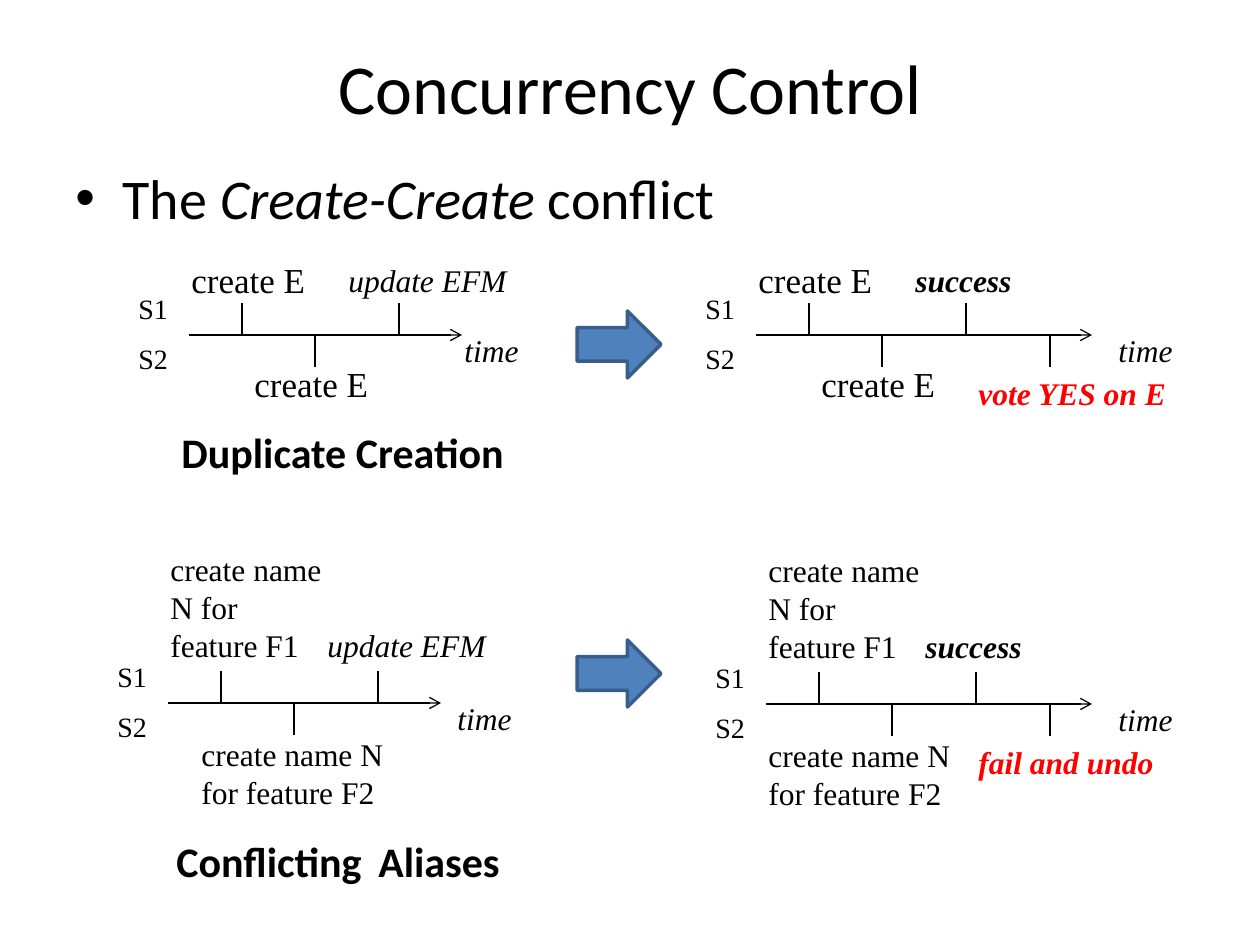
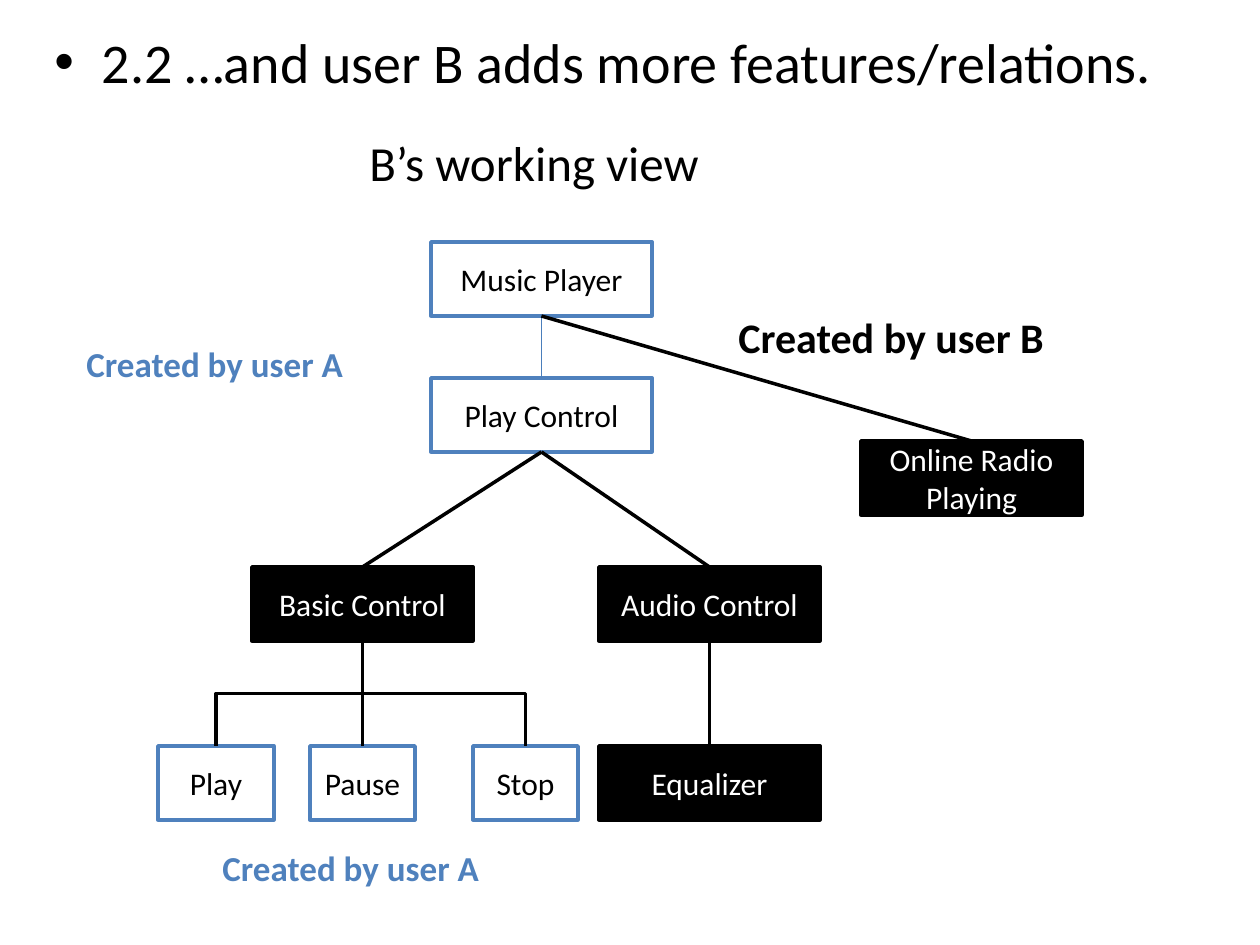
"""Build two slides: a concurrency conflict diagram and a feature tree."""
from lxml import etree
from pptx import Presentation
from pptx import util as u
from pptx.dml.color import RGBColor
from pptx.enum import shapes, text
from pptx.oxml import ns

PX = 914400 / 126
COLORS = {"black": "000000", "white": "FFFFFF", "red": "FF0000",
          "blue": "4F81BD", "edge": "385D8A", "link": "4A7EBB"}
SANS, SERIF = "Calibri", "Times New Roman"

PLAIN = {"name": SERIF, "size": 18}
BIG = {"name": SERIF, "size": 20}
SITE = {"name": SERIF, "size": 16}
ITALIC = {**PLAIN, "italic": True}
STRONG = {**ITALIC, "bold": True}
ALERT = {**STRONG, "color": "red"}
CAPTION = {"name": SANS, "size": 24, "bold": True}
BULLET = {"name": SANS, "size": 32}
AUTHOR_A = {"name": SANS, "size": 20, "bold": True, "color": "blue"}

TITLE = ("Concurrency Control", (63, 38, 1134, 98), {"name": SANS, "size": 40})
CONFLICT = ([("The ", {}), ("Create-Create", {"italic": True}), (" conflict", {})],
            (63, 157, 1134, 687))
ADDITION = ([("2.2 …and user B adds more features/relations.", {})], (42, 21, 1218, 378))

SITES = [("S1", (-63, -50, 63, 47), SITE), ("S2", (-63, 0, 63, 47), SITE)]
TICKS = [(53, -32), (126, 32), (210, -32)]
TIMELINES = [
    {"origin": (189, 335), "length": 273, "time": 263, "ticks": [], "labels": [
        ("create E", (-10, -83, 147, 55), BIG),
        ("create E", (53, 21, 158, 55), BIG),
        ("update EFM", (147, -80, 199, 50), ITALIC)]},
    {"origin": (756, 335), "length": 336, "time": 350, "ticks": [(294, 32)], "labels": [
        ("create E", (-10, -83, 147, 55), BIG),
        ("create E", (53, 21, 158, 55), BIG),
        ("success", (147, -80, 199, 50), STRONG),
        ("vote YES on E", (210, 33, 221, 50), ALERT)]},
    {"origin": (168, 703), "length": 273, "time": 277, "ticks": [], "labels": [
        ("create name N for feature F1", (-10, -159, 179, 126), PLAIN),
        ("create name N for feature F2", (21, 26, 221, 88), PLAIN),
        ("update EFM", (147, -83, 273, 50), ITALIC)]},
    {"origin": (766, 704), "length": 326, "time": 340, "ticks": [(284, 32)], "labels": [
        ("create name N for feature F1", (-10, -159, 179, 126), PLAIN),
        ("create name N for feature F2", (-10, 26, 221, 88), PLAIN),
        ("success", (147, -83, 273, 50), STRONG),
        ("fail and undo", (200, 33, 221, 50), ALERT)]},
]
CAPTIONS = [("Duplicate Creation", (169, 420, 360, 63), CAPTION),
            ("Conflicting\tAliases", (164, 829, 360, 63), CAPTION)]
ALIAS_TAB = 202
ARROWS = [(577, 311, 84, 67), (577, 640, 84, 67)]

FEATURE_HEIGHT = 74
FEATURES = {
    "Music Player": (431, 242, 221, "A"),
    "Play Control": (431, 378, 221, "A"),
    "Online Radio Playing": (861, 441, 221, "B"),
    "Basic Control": (252, 567, 221, "B"),
    "Audio Control": (599, 567, 221, "B"),
    "Play": (158, 746, 116, "A"),
    "Pause": (310, 746, 105, "A"),
    "Stop": (473, 746, 105, "A"),
    "Equalizer": (599, 746, 221, "B"),
}
LOOKS = {"A": ("white", "blue", "black"), "B": ("black", "black", "white")}
RELATIONS = [
    ("Music Player", "Play Control", "link", 0.75),
    ("Music Player", "Online Radio Playing", "black", 2),
    ("Play Control", "Basic Control", "black", 2),
    ("Play Control", "Audio Control", "black", 2),
    ("Basic Control", "Pause", "black", 2),
    ("Audio Control", "Equalizer", "black", 2),
]
BRANCHES = [("Basic Control", "Play"), ("Basic Control", "Stop")]
VIEW_LABELS = [
    ("B’s working view", (357, 126, 388, 72), {"name": SANS, "size": 28}),
    ("Created by user B", (726, 305, 345, 63), CAPTION),
    ("Created by user A", (74, 336, 295, 55), AUTHOR_A),
    ("Created by user A", (210, 840, 295, 55), AUTHOR_A),
]


def px(*lengths):
    return [u.Emu(round(length * PX)) for length in lengths]


def rgb(name):
    return RGBColor.from_string(COLORS[name])


def style_font(font, look):
    for key, value in {"color": "black", **look}.items():
        if key == "color":
            font.color.rgb = rgb(value)
        else:
            setattr(font, key, u.Pt(value) if key == "size" else value)


def write(frame, words, look, **format_values):
    for key, value in {"word_wrap": True, "auto_size": text.MSO_AUTO_SIZE.NONE, **format_values}.items():
        setattr(frame, key, value)
    para = frame.paragraphs[0]
    for words, changes in [(words, {})] if isinstance(words, str) else words:
        span = para.add_run()
        span.text = words
        style_font(span.font, {**look, **changes})
    return para


def add_label(page, words, place, look):
    box = page.shapes.add_textbox(*px(*place))
    return write(box.text_frame, words, look)


def add_bullet(page, words, place):
    settings = add_label(page, words, place, BULLET)._p.get_or_add_pPr()
    settings.set("marL", "342900")
    settings.set("indent", "-342900")
    font = etree.SubElement(settings, ns.qn("a:buFont"))
    font.set("typeface", "Arial")
    etree.SubElement(settings, ns.qn("a:buChar")).set("char", "•")


def style_line(line, color, width):
    line.color.rgb = rgb(color)
    line.width = u.Pt(width)


def add_line(page, ends, color="black", width=0.75, kind="STRAIGHT", head=None):
    line = page.shapes.add_connector(shapes.MSO_CONNECTOR[kind], *px(*ends))
    style_line(line.line, color, width)
    if head:
        etree.SubElement(line.line._get_or_add_ln(), ns.qn("a:tailEnd")).set("type", head)
    etree.SubElement(line._element.spPr, ns.qn("a:effectLst"))
    return line


def add_block(page, kind, place, fill, edge):
    block = page.shapes.add_shape(shapes.MSO_SHAPE[kind], *px(*place))
    block.shadow.inherit = False
    block.fill.solid()
    block.fill.fore_color.rgb = rgb(fill)
    style_line(block.line, edge, 2)
    return block


def add_timeline(page, timeline):
    left, axis = timeline["origin"]
    add_line(page, (left, axis, left + timeline["length"], axis), head="arrow")
    for offset, rise in TICKS + timeline["ticks"]:
        add_line(page, (left + offset, axis, left + offset, axis + rise))
    time = ("time", (timeline["time"], -10, 88, 50), ITALIC)
    for words, (x, y, width, height), look in SITES + timeline["labels"] + [time]:
        add_label(page, words, (left + x, axis + y, width, height), look)


def add_branch(page, parent, child):
    """Draw an elbow that leaves the parent downwards by turning it a quarter."""
    left, top, width, _ = FEATURES[parent]
    start_x, start_y = left + width / 2, top + FEATURE_HEIGHT
    left, end_y, width, _ = FEATURES[child]
    end_x = left + width / 2
    middle_x, middle_y = (start_x + end_x) / 2, (start_y + end_y) / 2
    half_run, half_drop = abs(end_x - start_x) / 2, (end_y - start_y) / 2
    side = 1 if end_x < start_x else -1
    ends = (middle_x - side * half_drop, middle_y - half_run,
            middle_x + side * half_drop, middle_y + half_run)
    elbow = add_line(page, ends, width=2, kind="ELBOW")
    elbow._element.spPr.find(ns.qn("a:xfrm")).set("rot", "5400000" if side > 0 else "16200000")


def build_conflicts(deck):
    page = deck.slides.add_slide(deck.slide_layouts[5])
    words, place, look = TITLE
    title = page.shapes.title
    for key, value in zip(("left", "top", "width", "height"), px(*place)):
        setattr(title, key, value)
    para = write(title.text_frame, words, look, vertical_anchor=text.MSO_ANCHOR.MIDDLE)
    para.alignment = text.PP_ALIGN.CENTER
    add_bullet(page, *CONFLICT)
    for timeline in TIMELINES:
        add_timeline(page, timeline)
    for caption in CAPTIONS:
        para = add_label(page, *caption)
        if "\t" in caption[0]:
            stops = etree.SubElement(para._p.get_or_add_pPr(), ns.qn("a:tabLst"))
            stop = etree.SubElement(stops, ns.qn("a:tab"))
            stop.set("pos", str(px(ALIAS_TAB)[0]))
            stop.set("algn", "l")
    for place in ARROWS:
        add_block(page, "RIGHT_ARROW", place, "blue", "edge")


def build_feature_tree(deck):
    page = deck.slides.add_slide(deck.slide_layouts[6])
    add_bullet(page, *ADDITION)
    blocks = {}
    for name, (left, top, width, author) in FEATURES.items():
        fill, edge, ink = LOOKS[author]
        block = add_block(page, "RECTANGLE", (left, top, width, FEATURE_HEIGHT), fill, edge)
        para = write(block.text_frame, name, {"name": SANS, "size": 18, "color": ink},
                     vertical_anchor=text.MSO_ANCHOR.MIDDLE)
        para.alignment = text.PP_ALIGN.CENTER
        blocks[name] = block
    for parent, child, color, width in RELATIONS:
        line = add_line(page, (0, 0, 0, 0), color, width)
        line.begin_connect(blocks[parent], 2)
        line.end_connect(blocks[child], 0)
    for parent, child in BRANCHES:
        add_branch(page, parent, child)
    for label in VIEW_LABELS:
        add_label(page, *label)


def main():
    deck = Presentation()
    deck.slide_width, deck.slide_height = px(1260, 945)
    build_conflicts(deck)
    build_feature_tree(deck)
    deck.save("out.pptx")


if __name__ == "__main__":
    main()
